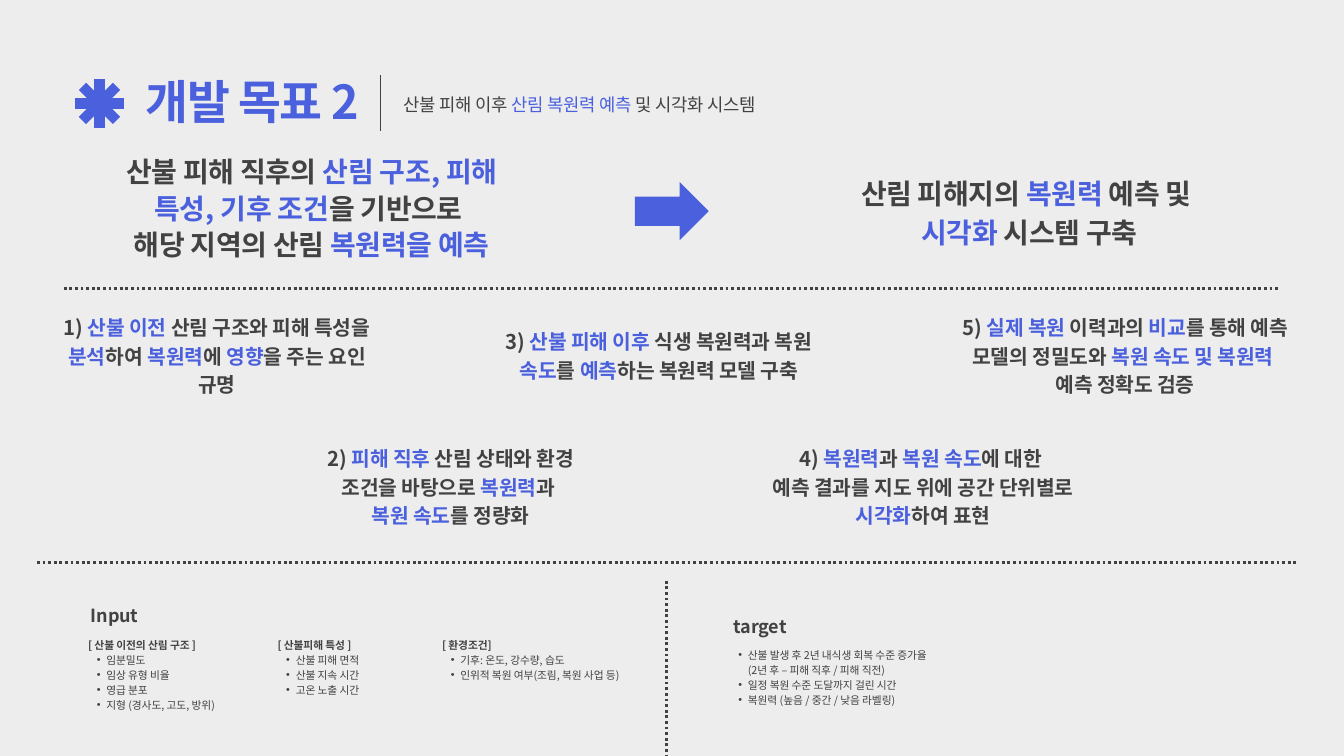
"""Build the slide on forest recovery prediction goals after a wildfire."""
import math

from lxml import etree
from pptx import Presentation, util as u
from pptx.dml.color import RGBColor
from pptx.enum import dml, shapes, text
from pptx.oxml.ns import qn

FONT = "Noto Sans CJK KR"
INK, BLUE, PAPER = "424242", "4A60DD", "EDEDEE"

TITLE = "*개발 목표 2*"
SUBTITLE = " 산불 피해 이후 *산림 복원력 예측* 및 시각화 시스템"
GOAL = ["산불 피해 직후의 *산림 구조, 피해 특성, 기후 조건*을 기반으로 ",
        "해당 지역의 산림 *복원력을 예측*"]
RESULT = ["산림 피해지의 *복원력* 예측 및 ", "*시각화* 시스템 구축"]
STEPS = [
    ((2.06, 11.76, 12.29, 3.15),
     ["1) *산불 이전* 산림 구조와 피해 특성을* 분석*하여 *복원력*에 *영향*을 주는 요인 규명"]),
    ((11.79, 16.71, 10.49, 3.15),
     ["2) *피해 직후* 산림 상태와 환경 조건을 바탕으로 *복원력*과 ", "*복원 속도*를 정량화"]),
    ((18.57, 12.29, 12.67, 2.08),
     ["3) *산불 피해 이후* 식생 복원력과 복원* 속도*를 *예측*하는 복원력 모델 구축"]),
    ((28.75, 16.71, 12.29, 3.15),
     ["4) *복원력*과 *복원 속도*에 대한 ", "예측 결과를 지도 위에 공간 단위별로 *시각화*하여 표현"]),
    ((35.71, 11.76, 13.64, 3.15),
     ["5) *실제 복원* 이력과의 *비교*를 통해 예측 모델의 정밀도와 *복원 속도 및 복원력 *",
      "예측 정확도 검증"]),
]
HEADINGS = [((3.18, 22.78, 2.31, 0.86), "Input"), ((27.58, 23.19, 2.31, 0.86), "target")]
LISTS = [
    ((3.33, 24.05, 5.13, 4.5), "justify",
     ["[ 산불 이전의 산림 구조 ]", "• 임분밀도", "• 임상 유형 비율", "• 영급 분포",
      "• 지형 (경사도, 고도, 방위)"]),
    ((10.49, 24.05, 5.82, 2.21), "left",
     ["[ 산불피해 특성 ]", "• 산불 피해 면적", "• 산불 지속 시간", "• 고온 노출 시간"]),
    ((16.71, 24.05, 6.81, 1.68), "left",
     ["[ 환경조건]", "• 기후: 온도, 강수량, 습도", "• 인위적 복원 여부(조림, 복원 사업 등)"]),
    ((27.58, 24.43, 7.67, 2.21), "left",
     ["• 산불 발생 후 2년 내식생 회복 수준 증가율 (2년 후 – 피해 직후 / 피해 직전)",
      "• 일정 복원 수준 도달까지 걸린 시간", "• 복원력 (높음 / 중간 / 낮음 라벨링)"]),
]
DOTTED = [(25.2, 21.95, 25.2, 28.57), (1.4, 21.26, 48.97, 21.26), (2.41, 10.9, 48.39, 10.9)]
STAR_X, STAR_Y, STAR_R = 3.76, 3.91, 0.91
ALIGN = {"left": text.PP_ALIGN.LEFT, "center": text.PP_ALIGN.CENTER,
         "justify": text.PP_ALIGN.JUSTIFY}


def rgb(value):
    return RGBColor.from_string(value)


def add_bullet(p):
    p.level = 1
    pPr = p._p.get_or_add_pPr()
    pPr.set("marL", str(u.Cm(0.69)))
    pPr.set("indent", str(-u.Cm(0.36)))
    etree.SubElement(pPr, qn("a:buFont")).set("typeface", "Arial")
    etree.SubElement(pPr, qn("a:buChar")).set("char", "•")


def add_text(s, box, content, size, leading, align="left", bold=True, spacing=None):
    """Write paragraphs, with *starred* parts in blue and "• " starting a bullet."""
    tf = s.shapes.add_textbox(*map(u.Cm, box)).text_frame
    tf.word_wrap = True
    tf.auto_size = text.MSO_AUTO_SIZE.SHAPE_TO_FIT_TEXT
    tf.margin_left = tf.margin_right = tf.margin_top = tf.margin_bottom = 0
    if spacing is None:
        spacing = -round(size / 100, 1)
    for i, line in enumerate([content] if isinstance(content, str) else content):
        p = tf.add_paragraph() if i else tf.paragraphs[0]
        p.alignment = ALIGN[align]
        p.line_spacing = u.Pt(leading)
        bullet = line.startswith("• ")
        if bullet:
            add_bullet(p)
        for j, part in enumerate(line.removeprefix("• ").split("*")):
            if not part:
                continue
            r = p.add_run()
            r.text = part
            r.font.size = u.Pt(size)
            r.font.bold = bold and not bullet
            r.font.color.rgb = rgb(BLUE if j % 2 else INK)
            r.font.name = FONT
            rPr = r._r.get_or_add_rPr()
            rPr.set("spc", str(round(spacing * 100)))
            etree.SubElement(rPr, qn("a:ea")).set("typeface", FONT)


def add_line(parent, ends, color, width, dash=None):
    c = parent.shapes.add_connector(shapes.MSO_CONNECTOR.STRAIGHT, *map(u.Cm, ends))
    c.line.color.rgb = rgb(color)
    c.line.width = u.Pt(width)
    if dash:
        c.line.dash_style = dash
    etree.SubElement(c._element.spPr, qn("a:effectLst"))


def add_star(s):
    group = s.shapes.add_group_shape()
    for k in range(4):
        dx = STAR_R * math.cos(k * math.pi / 4)
        dy = STAR_R * math.sin(k * math.pi / 4)
        add_line(group, (STAR_X - dx, STAR_Y - dy, STAR_X + dx, STAR_Y + dy), BLUE, 11)


def add_arrow(s):
    sp = s.shapes.add_shape(shapes.MSO_SHAPE.RIGHT_ARROW, *map(u.Cm, (24, 6.88, 2.79, 2.21)))
    sp.shadow.inherit = False
    sp.fill.solid()
    sp.fill.fore_color.rgb = rgb(BLUE)
    sp.line.fill.background()


def main():
    prs = Presentation()
    prs.slide_width, prs.slide_height = u.Cm(50.8), u.Cm(28.575)
    s = prs.slides.add_slide(prs.slide_layouts[6])
    s.background.fill.solid()
    s.background.fill.fore_color.rgb = rgb(PAPER)

    add_star(s)
    add_text(s, (5.51, 3.1, 16.66, 1.85), TITLE, 50, 50, spacing=-1.5)
    add_line(s, (14.38, 2.84, 14.38, 4.95), INK, 0.75)
    add_text(s, (15.11, 3.43, 23.04, 0.86), SUBTITLE, 19, 26.6, bold=False)

    add_text(s, (4.01, 5.74, 15.54, 4.09), GOAL, 30, 39, align="center")
    add_arrow(s)
    add_text(s, (31.24, 6.45, 15.34, 2.92), RESULT, 30, 42, align="center")

    for ends in DOTTED:
        add_line(s, ends, INK, 3, dml.MSO_LINE.ROUND_DOT)
    for box, lines in STEPS:
        add_text(s, box, lines, 21.8, 30.6, align="center")
    for box, heading in HEADINGS:
        add_text(s, box, heading, 19.3, 25.1, align="center")
    for box, align, lines in LISTS:
        add_text(s, box, lines, 11.5, 16.1, align=align)

    prs.save("out.pptx")


if __name__ == "__main__":
    main()
